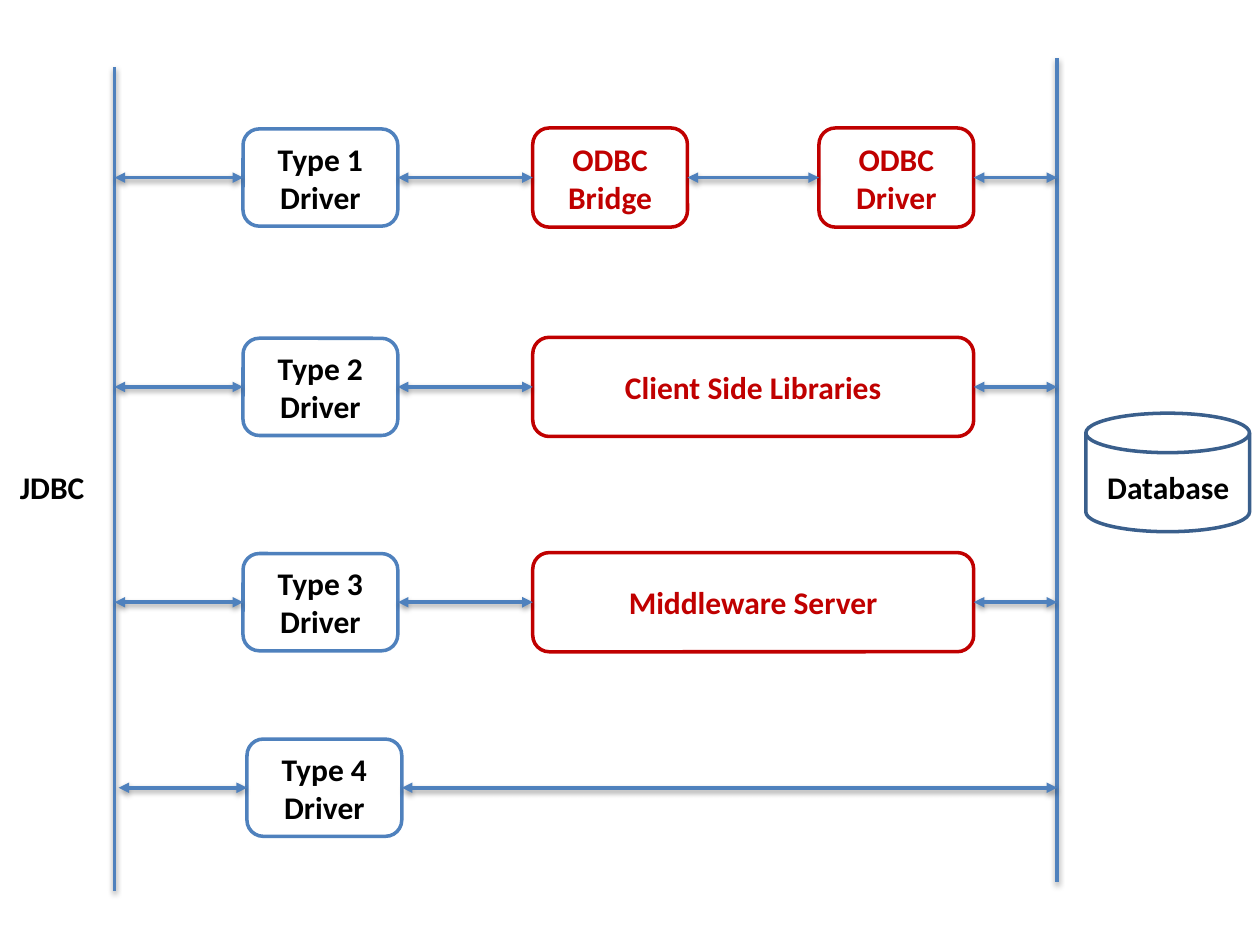
from pptx import Presentation
from pptx.dml.color import RGBColor
from pptx.enum.shapes import MSO_CONNECTOR, MSO_SHAPE
from pptx.enum.text import MSO_ANCHOR, MSO_AUTO_SIZE, PP_ALIGN
from pptx.oxml.ns import qn
from pptx.util import Cm, Pt
from lxml import etree

STRAIGHT = MSO_CONNECTOR.STRAIGHT
ROUNDED = MSO_SHAPE.ROUNDED_RECTANGLE
DISK = MSO_SHAPE.FLOWCHART_MAGNETIC_DISK
MIDDLE = MSO_ANCHOR.MIDDLE
FIT_SHAPE = MSO_AUTO_SIZE.SHAPE_TO_FIT_TEXT
LEFT, CENTER = PP_ALIGN.LEFT, PP_ALIGN.CENTER

WHITE = RGBColor(0xFF, 0xFF, 0xFF)
BLACK = RGBColor(0, 0, 0)
BLUE = RGBColor(0x4F, 0x81, 0xBD)
NAVY = RGBColor(0x3A, 0x5F, 0x8C)
RED = RGBColor(0xC0, 0, 0)

LEFT_SIDE, RIGHT_SIDE = 1, 3
JDBC_X, DATABASE_X = 2.31, 21.31
BAR_HEIGHT = 16.61
BOX_WIDTH = 3.12
DRIVER_HEIGHT, PARTNER_HEIGHT = 1.96, 2.0
DRIVER_OFFSET, BRIDGE_OFFSET, ODBC_OFFSET = 2.59, 8.43, 14.2
WIDE_WIDTH = ODBC_OFFSET + BOX_WIDTH - BRIDGE_OFFSET

BRIDGE = (["ODBC", "Bridge"], BRIDGE_OFFSET, BOX_WIDTH)
ODBC = (["ODBC", "Driver"], ODBC_OFFSET, BOX_WIDTH)
LIBRARIES = (["Client Side Libraries"], BRIDGE_OFFSET, WIDE_WIDTH)
MIDDLEWARE = (["Middleware Server"], BRIDGE_OFFSET, WIDE_WIDTH)
ROWS = [
    (JDBC_X, 3.58, "Type 1", [BRIDGE, ODBC]),
    (JDBC_X, 7.8, "Type 2", [LIBRARIES]),
    (JDBC_X, 12.14, "Type 3", [MIDDLEWARE]),
    (JDBC_X + 0.08, 15.88, "Type 4", []),
]


def write_text(tf, lines, color=BLACK, align=LEFT, size=18):
    for i, line in enumerate(lines):
        p = tf.paragraphs[0] if i == 0 else tf.add_paragraph()
        p.alignment = align
        r = p.add_run()
        r.text = line
        r.font.name = "Calibri"
        r.font.size = Pt(size)
        r.font.bold = True
        r.font.color.rgb = color


def add_label(s, text, left, top, width, height):
    tb = s.shapes.add_textbox(Cm(left), Cm(top), Cm(width), Cm(height))
    tb.text_frame.word_wrap = False
    tb.text_frame.auto_size = FIT_SHAPE
    write_text(tb.text_frame, [text])


def add_box(s, lines, left, middle, width, height, line_color, text_color):
    sp = s.shapes.add_shape(ROUNDED, Cm(left), Cm(middle - height / 2),
                            Cm(width), Cm(height))
    sp.shadow.inherit = False
    sp.fill.solid()
    sp.fill.fore_color.rgb = WHITE
    sp.line.color.rgb = line_color
    sp.line.width = Pt(2)
    sp.text_frame.word_wrap = True
    sp.text_frame.vertical_anchor = MIDDLE
    write_text(sp.text_frame, lines, color=text_color, align=CENTER)
    return sp


def add_line(s, x1, y1, x2, y2):
    line = s.shapes.add_connector(STRAIGHT, Cm(x1), Cm(y1), Cm(x2), Cm(y2))
    line.line.color.rgb = BLUE
    line.line.width = Pt(2)
    return line


def add_double_arrow(s, x1, x2, y, start=None, end=None):
    arrow = add_line(s, x1, y, x2, y)
    if start is not None:
        arrow.begin_connect(start, RIGHT_SIDE)
    if end is not None:
        arrow.end_connect(end, LEFT_SIDE)
    ln = arrow.line._get_or_add_ln()
    for tag in ("a:headEnd", "a:tailEnd"):
        etree.SubElement(ln, qn(tag)).set("type", "triangle")


def add_driver_row(s, left, middle, right, driver, partners):
    previous = None
    x = left
    boxes = [([driver, "Driver"], DRIVER_OFFSET, BOX_WIDTH)] + partners
    for i, (lines, offset, width) in enumerate(boxes):
        height, line_color, text_color = (
            (DRIVER_HEIGHT, BLUE, BLACK) if i == 0 else (PARTNER_HEIGHT, RED, RED))
        box = add_box(s, lines, left + offset, middle, width, height,
                      line_color, text_color)
        add_double_arrow(s, x, left + offset, middle, previous, box)
        previous, x = box, left + offset + width
    add_double_arrow(s, x, right, middle, previous)


def add_database(s, left, top, width, height):
    sp = s.shapes.add_shape(DISK, Cm(left), Cm(top), Cm(width), Cm(height))
    sp.shadow.inherit = False
    sp.fill.background()
    sp.line.color.rgb = NAVY
    sp.line.width = Pt(2)
    add_label(s, "Database", left + 0.18, top + 0.99, 3.0, 1.02)


def main():
    prs = Presentation()
    prs.slide_width, prs.slide_height = Cm(25.4), Cm(19.05)
    s = prs.slides.add_slide(prs.slide_layouts[6])
    for x, top in ((JDBC_X, 1.35), (DATABASE_X, 1.17)):
        add_line(s, x, top, x, top + BAR_HEIGHT)
    add_label(s, "JDBC", 0.15, 9.32, 1.83, 1.02)
    add_database(s, 21.89, 8.33, 3.3, 2.39)
    for left, middle, driver, partners in ROWS:
        add_driver_row(s, left, middle, DATABASE_X, driver, partners)
    prs.save("out.pptx")


if __name__ == "__main__":
    main()
